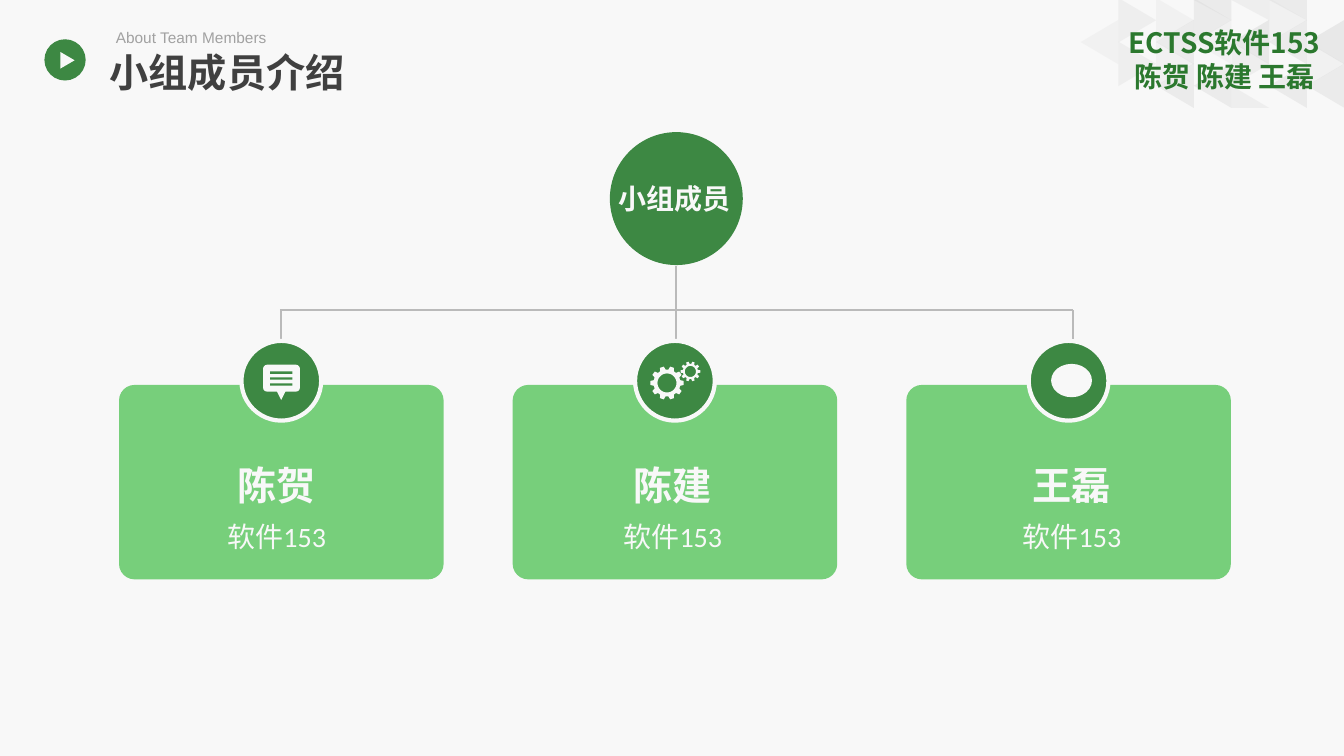
from math import cos, sin, radians
from lxml.etree import SubElement
from pptx import Presentation
from pptx.dml.color import RGBColor
from pptx.enum.shapes import MSO_SHAPE, MSO_CONNECTOR
from pptx.enum.text import MSO_ANCHOR, MSO_AUTO_SIZE, PP_ALIGN
from pptx.oxml.ns import qn
from pptx.util import Cm, Pt

# Content (lengths in cm)
TITLE = "小组成员介绍"
SUBTITLE = "About Team Members"
ROOT = "小组成员"
CORNER = ["ECTSS软件153", "陈贺 陈建 王磊"]
MEMBERS = [("陈贺", "软件153", 3.23), ("陈建", "软件153", 13.21), ("王磊", "软件153", 23.27)]

CJK = "Noto Sans CJK SC"
PALE, DARK, LIGHT = "F8F8F8", "3D8843", "77CF7B"
GREY, LINE = "D9D9D9", "BABABA"

# Mosaic: row -> {column: opacity in %}; even rows point right, odd rows left
MOSAIC = [
    {1: 30, 2: 20, 3: 40, 5: 20},
    {0: 20, 2: 40, 3: 20, 4: 50, 5: 40, 6: 50},
    {1: 30, 2: 20, 4: 30, 6: 22},
    {2: 40, 3: 40, 5: 40, 6: 40},
]
TOP_HALVES = {3: 40, 4: 30, 5: 40}
COL_X, COL_STEP, ROW_Y, ROW_STEP = 27.71, 0.95, 0.51, 0.55
TRI_W, TRI_H = 1.12, 0.95

# Diagram
CARD_X, CARD_STEP, CARD_Y, CARD_W, CARD_H = 3.0, 9.92, 9.7, 8.18, 4.9
BADGE_Y, BADGE_D = 8.59, 2.01
CONNECTORS = [  # x1, y1, x2, y2, points
    (7.05, 7.81, 27.03, 7.81, 1),
    (17.03, 6.71, 17.03, 8.92, 1.5),
    (7.09, 7.82, 7.09, 10.01, 1.5),
    (27.05, 7.82, 27.05, 10.01, 1.5),
]
GEARS = [(16.81, 9.65, 0.42, 0.34, 0.24), (17.4, 9.36, 0.25, 0.19, 0.14)]

prs = Presentation()
prs.slide_width, prs.slide_height = Cm(33.87), Cm(19.05)
s = prs.slides.add_slide(prs.slide_layouts[5])


def rgb(color):
    return RGBColor.from_string(color)


def paint(sp, color, alpha=100):
    sp.shadow.inherit = False
    sp.fill.solid()
    sp.fill.fore_color.rgb = rgb(color)
    sp.line.fill.background()
    if alpha < 100:
        clr = sp.fill._xPr.find(qn("a:solidFill"))[0]
        SubElement(clr, qn("a:alpha")).set("val", str(alpha * 1000))
    return sp


def shape(kind, x, y, w, h, color, alpha=100, rotation=0):
    sp = s.shapes.add_shape(kind, Cm(x), Cm(y), Cm(w), Cm(h))
    sp.rotation = rotation
    return paint(sp, color, alpha)


def outline(contours, color, alpha=100):
    contours = [[(Cm(x), Cm(y)) for x, y in c] for c in contours]
    fb = s.shapes.build_freeform(*contours[0][0])
    for i, points in enumerate(contours):
        if i:
            fb.move_to(*points[0])
        fb.add_line_segments(points[1:], close=True)
    return paint(fb.convert_to_shape(), color, alpha)


def write(p, text, size=20, color=PALE, font=CJK, bold=False,
          align=PP_ALIGN.LEFT, spacing=None, before=None):
    p.alignment = align
    if spacing:
        p.line_spacing = spacing
    if before:
        p.space_before = Pt(before)
    r = p.add_run()
    r.text = text
    r.font.size, r.font.bold, r.font.name = Pt(size), bold, font
    r.font.color.rgb = rgb(color)
    SubElement(r._r.get_or_add_rPr(), qn("a:ea")).set("typeface", CJK)


def box(x, y, w, h, wrap=True, inset=True):
    tf = s.shapes.add_textbox(Cm(x), Cm(y), Cm(w), Cm(h)).text_frame
    tf.word_wrap = wrap
    if not inset:
        tf.margin_left = tf.margin_right = tf.margin_top = tf.margin_bottom = 0
    return tf


def ring(cx, cy, polar):
    return [(cx + r * cos(radians(a)), cy + r * sin(radians(a))) for a, r in polar]


def gear(cx, cy, tip, valley, hole, teeth=10):
    step = 360 / teeth
    profile = [(-12, valley), (-7, tip), (7, tip), (12, valley)]
    teeth_ring = [(i * step + a, r) for i in range(teeth) for a, r in profile]
    hole_ring = [(a, hole) for a in range(360, 0, -10)]
    outline([ring(cx, cy, teeth_ring), ring(cx, cy, hole_ring)], PALE)


s.background.fill.solid()
s.background.fill.fore_color.rgb = rgb(PALE)

# Heading
shape(MSO_SHAPE.OVAL, 1.12, 0.99, 1.04, 1.04, DARK)
shape(MSO_SHAPE.ISOSCELES_TRIANGLE, 1.49, 1.34, 0.42, 0.36, PALE, rotation=90)
title = s.shapes.title
title.left, title.top, title.width, title.height = Cm(2.51), Cm(1.09), Cm(7.01), Cm(1.45)
tf = title.text_frame
tf.vertical_anchor, tf.auto_size = MSO_ANCHOR.TOP, MSO_AUTO_SIZE.NONE
write(tf.paragraphs[0], TITLE, size=28, color="404040", bold=True)
write(box(2.67, 0.48, 4.39, 0.76, wrap=False).paragraphs[0], SUBTITLE,
      size=11, color="A1A1A1", font="Arial", spacing=1.2)

# Corner mosaic
for row, cells in enumerate(MOSAIC):
    for col, alpha in cells.items():
        shape(MSO_SHAPE.ISOSCELES_TRIANGLE, COL_X + col * COL_STEP - TRI_W / 2,
              ROW_Y + row * ROW_STEP - TRI_H / 2, TRI_W, TRI_H, GREY, alpha,
              rotation=270 if row % 2 else 90)
for col, alpha in TOP_HALVES.items():
    x = COL_X + col * COL_STEP
    outline([[(x - TRI_H / 2, 0), (x + TRI_H / 2, 0), (x + TRI_H / 2, 0.51)]], GREY, alpha)
x = COL_X + 4 * COL_STEP
outline([[(x - TRI_H / 2, 2.16), (x + TRI_H / 2, 2.72), (x - TRI_H / 2, 2.72)]], GREY, 30)

# Root and connecting lines
shape(MSO_SHAPE.OVAL, 15.37, 3.33, 3.35, 3.35, DARK)
write(box(15.34, 4.45, 3.35, 1.12, wrap=False).paragraphs[0], ROOT, bold=True)
for x1, y1, x2, y2, weight in CONNECTORS:
    c = s.shapes.add_connector(MSO_CONNECTOR.STRAIGHT, Cm(x1), Cm(y1), Cm(x2), Cm(y2))
    c.line.color.rgb, c.line.width = rgb(LINE), Pt(weight)
    SubElement(c._element.spPr, qn("a:effectLst"))

# Member cards
for i, (name, group, text_x) in enumerate(MEMBERS):
    x = CARD_X + i * CARD_STEP
    card = shape(MSO_SHAPE.ROUNDED_RECTANGLE, x, CARD_Y, CARD_W, CARD_H, LIGHT)
    card.adjustments[0] = 0.08
    badge = shape(MSO_SHAPE.OVAL, x + (CARD_W - BADGE_D) / 2, BADGE_Y, BADGE_D, BADGE_D, DARK)
    badge.line.color.rgb, badge.line.width = rgb(PALE), Pt(3)
    tf = box(text_x, 11.4, 7.49, 2.57, inset=False)
    fmt = dict(font="Calibri", align=PP_ALIGN.CENTER, spacing=1.2, before=3)
    write(tf.paragraphs[0], name, size=28, bold=True, **fmt)
    write(tf.add_paragraph(), group, **fmt)

# Badge icons: speech bubble, gears, plain oval
bubble = shape(MSO_SHAPE.ROUNDED_RECTANGLE, 6.63, 9.19, 0.93, 0.68, PALE)
bubble.adjustments[0] = 0.15
shape(MSO_SHAPE.ISOSCELES_TRIANGLE, 6.96, 9.83, 0.25, 0.25, PALE, rotation=180)
for i in range(3):
    shape(MSO_SHAPE.RECTANGLE, 6.81, 9.36 + i * 0.15, 0.56, 0.06, DARK)
for g in GEARS:
    gear(*g)
shape(MSO_SHAPE.OVAL, 26.49, 9.17, 1.03, 0.84, PALE)

# Corner caption
tf = box(28.14, 0.53, 5.44, 1.96)
for i, text in enumerate(CORNER):
    p = tf.add_paragraph() if i else tf.paragraphs[0]
    write(p, text, color="2B782E", bold=True, align=PP_ALIGN.CENTER)

prs.save("out.pptx")
